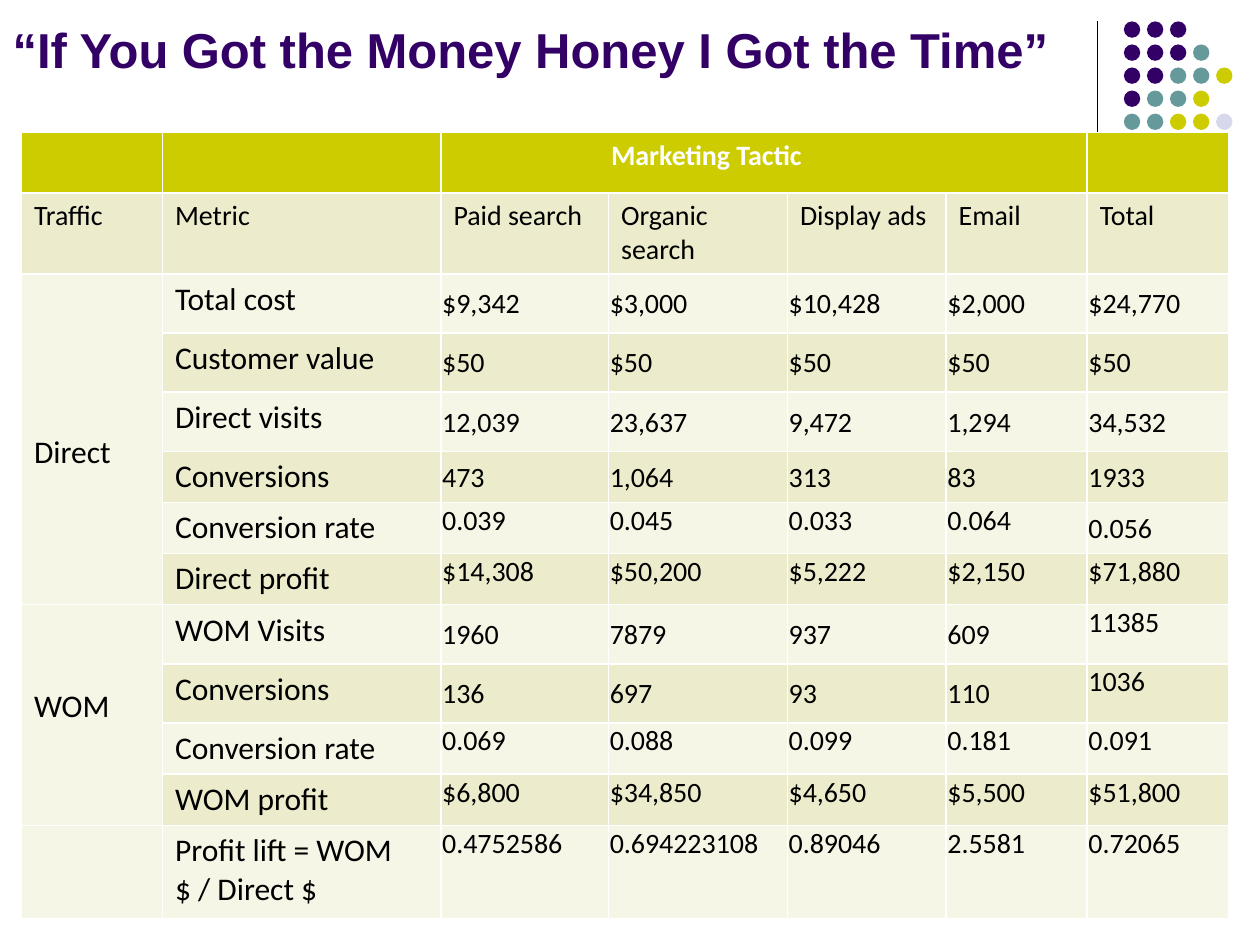
import pptx
import pptx.util
import pptx.dml.color
import pptx.enum.shapes
import pptx.enum.text
from lxml import etree

Inches = pptx.util.Inches
Pt = pptx.util.Pt
RGBColor = pptx.dml.color.RGBColor
ANCHOR = pptx.enum.text.MSO_ANCHOR

PURPLE = RGBColor(0x33, 0x00, 0x66)
TEAL = RGBColor(0x66, 0x99, 0x99)
OLIVE = RGBColor(0xCC, 0xCC, 0x00)
LAVENDER = RGBColor(0xD8, 0xD8, 0xEC)
DARK_BAND = RGBColor(0xEC, 0xEC, 0xCC)
LIGHT_BAND = RGBColor(0xF6, 0xF6, 0xE7)
BLACK = RGBColor(0, 0, 0)
WHITE = RGBColor(0xFF, 0xFF, 0xFF)

# Content
TITLE = "“If You Got the Money Honey I Got the Time”"
HEADINGS = ["Traffic", "Metric", "Paid search", "Organic search",
            "Display ads", "Email", "Total"]
# Metric, row height, columns with middle-anchored values, values
METRICS = [
    ("Total cost", 0.47, "23456", ["$9,342", "$3,000", "$10,428", "$2,000", "$24,770"]),
    ("Customer value", 0.47, "23456", ["$50"] * 5),
    ("Direct visits", 0.47, "23456", ["12,039", "23,637", "9,472", "1,294", "34,532"]),
    ("Conversions", 0.4, "23456", ["473", "1,064", "313", "83", "1933"]),
    ("Conversion rate", 0.4, "6", ["0.039", "0.045", "0.033", "0.064", "0.056"]),
    ("Direct profit", 0.4, "", ["$14,308", "$50,200", "$5,222", "$2,150", "$71,880"]),
    ("WOM Visits", 0.47, "2345", ["1960", "7879", "937", "609", "11385"]),
    ("Conversions", 0.47, "2345", ["136", "697", "93", "110", "1036"]),
    ("Conversion rate", 0.4, "", ["0.069", "0.088", "0.099", "0.181", "0.091"]),
    ("WOM profit", 0.4, "", ["$6,800", "$34,850", "$4,650", "$5,500", "$51,800"]),
    ("Profit lift = WOM $ / Direct $", 0.74, "",
     ["0.4752586", "0.694223108", "0.89046", "2.5581", "0.72065"]),
]
# Traffic group, first row, last row, top margin
GROUPS = [("Direct", 2, 7, 1.27), ("WOM", 8, 11, 0.66)]
COLUMN_WIDTHS = [1.12, 2.21, 1.33, 1.42, 1.26, 1.12, 1.12]
ROW_HEIGHTS = [0.48, 0.63] + [metric[1] for metric in METRICS]
DOT_ROWS = ["PPP", "PPPT", "PPTTO", "PTTO", "TTOOL"]
DOT_COLORS = {"P": PURPLE, "T": TEAL, "O": OLIVE, "L": LAVENDER}

presentation = pptx.Presentation()
presentation.slide_width, presentation.slide_height = Inches(10), Inches(7.5)
slide = presentation.slides.add_slide(presentation.slide_layouts[5])


def format_text(text_frame, size, color, font="Calibri", bold=False):
    for paragraph in text_frame.paragraphs:
        for run in paragraph.runs:
            run.font.size = Pt(size)
            run.font.name = font
            run.font.bold = bold
            run.font.color.rgb = color


# Title
title = slide.shapes.title
title.left, title.top = Inches(0), Inches(-0.75)
title.width, title.height = Inches(8.83), Inches(1.42)
title.text_frame.text = TITLE
title.text_frame.auto_size = pptx.enum.text.MSO_AUTO_SIZE.NONE
title.text_frame.vertical_anchor = ANCHOR.BOTTOM
title.text_frame.paragraphs[0].alignment = pptx.enum.text.PP_ALIGN.LEFT
format_text(title.text_frame, 28, PURPLE, "Arial", True)

# Divider beside the title
divider = slide.shapes.add_connector(
    pptx.enum.shapes.MSO_CONNECTOR.STRAIGHT,
    Inches(8.71), Inches(0.17), Inches(8.71), Inches(1.83))
divider.line.color.rgb = BLACK
divider.line.width = Pt(0.75)
etree.SubElement(divider._element.spPr, pptx.oxml.ns.qn("a:effectLst"))

# Corner dots
dots = slide.shapes.add_group_shape()
for row, codes in enumerate(DOT_ROWS):
    for column, code in enumerate(codes):
        dot = dots.shapes.add_shape(
            pptx.enum.shapes.MSO_SHAPE.OVAL,
            Inches(8.92 + 0.183 * column), Inches(0.17 + 0.183 * row),
            Inches(0.13), Inches(0.13))
        dot.shadow.inherit = False
        dot.fill.solid()
        dot.fill.fore_color.rgb = DOT_COLORS[code]
        dot.line.fill.background()

# Table grid; the default style draws the white borders
table = slide.shapes.add_table(
    len(ROW_HEIGHTS), len(COLUMN_WIDTHS), Inches(0.17), Inches(1.05),
    Inches(sum(COLUMN_WIDTHS)), Inches(sum(ROW_HEIGHTS))).table
for column, width in zip(table.columns, COLUMN_WIDTHS):
    column.width = Inches(width)
for row, height in zip(table.rows, ROW_HEIGHTS):
    row.height = Inches(height)
for row_index, row in enumerate(table.rows):
    for column_index, cell in enumerate(row.cells):
        cell.fill.solid()
        if row_index == 0:
            cell.fill.fore_color.rgb = OLIVE
        elif row_index % 2 and (column_index or row_index == 1):
            cell.fill.fore_color.rgb = DARK_BAND
        else:
            cell.fill.fore_color.rgb = LIGHT_BAND
table.cell(12, 0).fill.fore_color.rgb = LIGHT_BAND


def fill_cell(row, column, text, size, color=BLACK, bold=False):
    cell = table.cell(row, column)
    cell.text_frame.text = text
    format_text(cell.text_frame, size, color, bold=bold)
    return cell


# Heading rows
table.cell(0, 2).merge(table.cell(0, 5))
tactic = fill_cell(0, 2, "Marketing Tactic", 16, WHITE, True)
tactic.margin_left = Inches(1.35)
for column, heading in enumerate(HEADINGS):
    fill_cell(1, column, heading, 16)

# Traffic groups
for name, first, last, margin in GROUPS:
    table.cell(first, 0).merge(table.cell(last, 0))
    fill_cell(first, 0, name, 18).margin_top = Inches(margin)

# Metrics and values
for row, (metric, height, middle_columns, values) in enumerate(METRICS, 2):
    fill_cell(row, 1, metric, 18)
    for column, value in enumerate(values, 2):
        cell = fill_cell(row, column, value, 16)
        cell.margin_left = cell.margin_right = cell.margin_top = Inches(0.01)
        cell.margin_bottom = Inches(0)
        if str(column) in middle_columns:
            cell.vertical_anchor = ANCHOR.MIDDLE

presentation.save("out.pptx")
